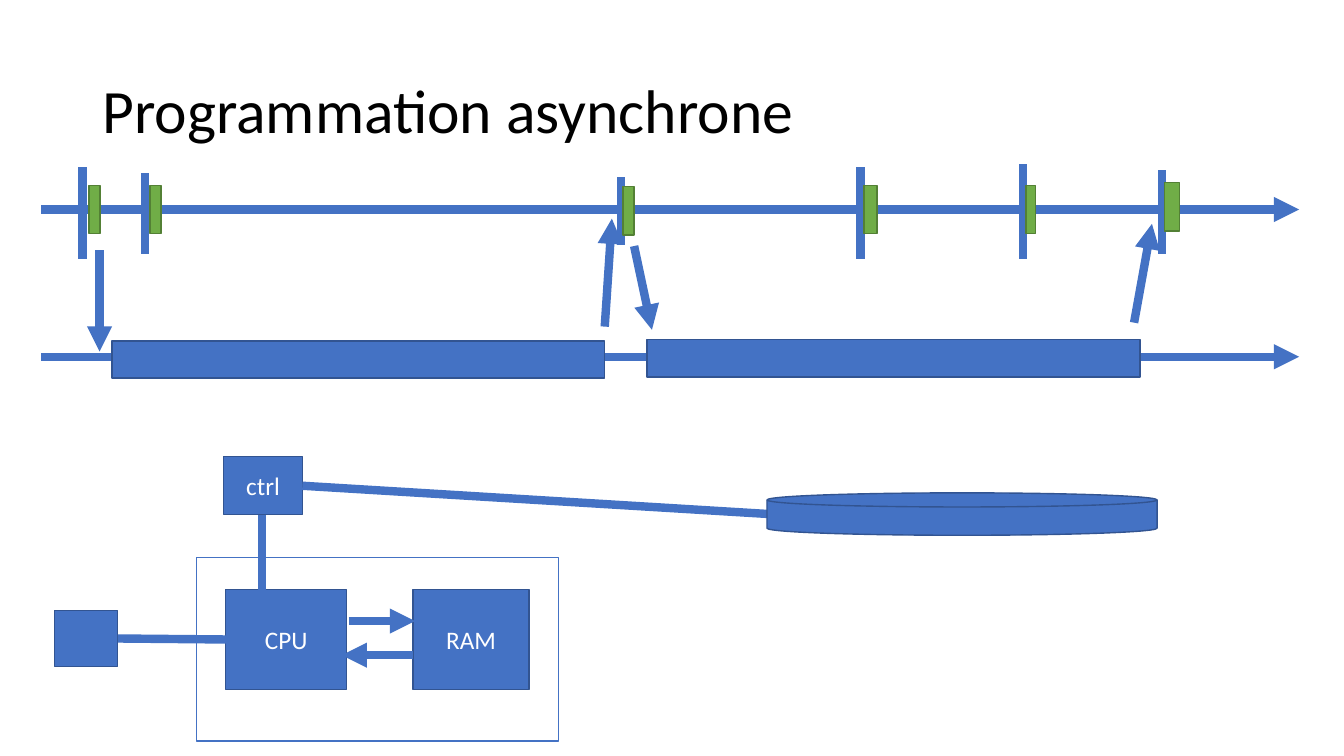
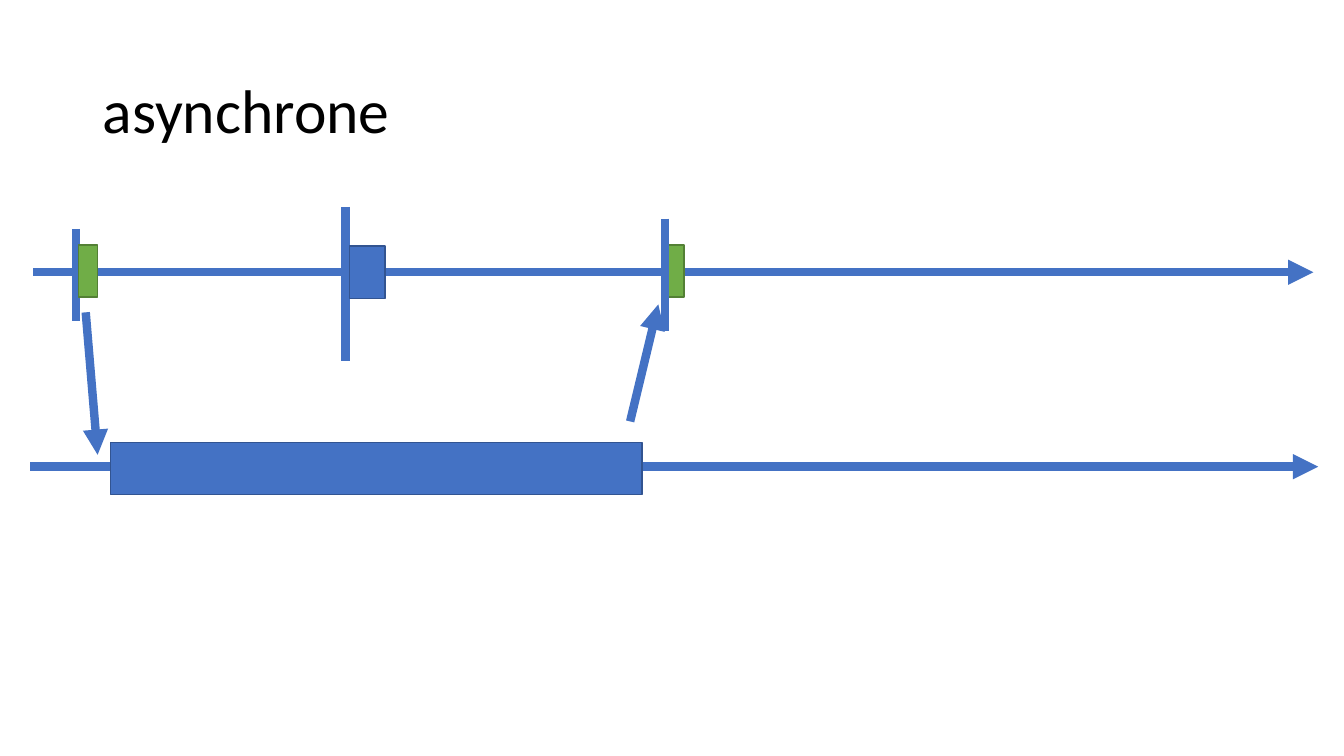
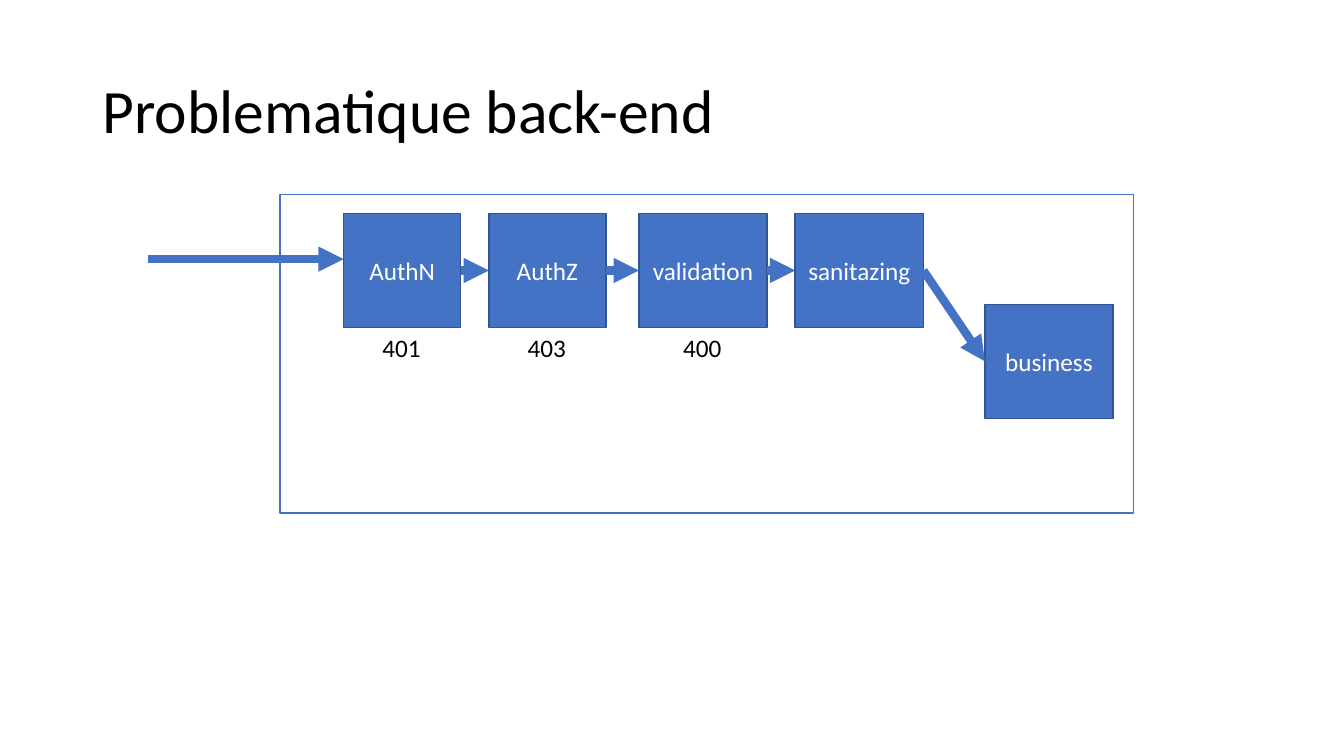
from lxml.etree import SubElement
from pptx import Presentation
from pptx.dml.color import RGBColor
from pptx.enum.shapes import MSO_CONNECTOR, MSO_SHAPE
from pptx.enum.text import MSO_ANCHOR, MSO_AUTO_SIZE, PP_ALIGN
from pptx.oxml.ns import qn
from pptx.util import Cm, Pt

COLORS = {
    "blue": "4472C4",
    "blue_edge": "325491",
    "green": "70AD47",
    "green_edge": "538035",
    "white": "FFFFFF",
    "black": "000000",
}
FONT = "Calibri"
LEFT_SITE, RIGHT_SITE = 1, 3


def color(name):
    return RGBColor.from_string(COLORS[name])


class Deck:
    """Holds the shared style and the current slide; lengths are centimetres."""

    def __init__(self):
        self.presentation = Presentation()
        self.presentation.slide_width = Cm(33.87)
        self.presentation.slide_height = Cm(19.05)
        self.slide = None

    def format(self, paragraph, size, color_name, alignment):
        paragraph.alignment = alignment
        paragraph.font.name = FONT
        paragraph.font.size = Pt(size)
        paragraph.font.color.rgb = color(color_name)

    def new_slide(self, text):
        title_only = self.presentation.slide_layouts[5]
        self.slide = self.presentation.slides.add_slide(title_only)
        title = self.slide.shapes.title
        title.left, title.top = Cm(2.33), Cm(1.01)
        title.width, title.height = Cm(29.21), Cm(3.68)
        frame = title.text_frame
        frame.text = text
        frame.vertical_anchor = MSO_ANCHOR.MIDDLE
        frame.auto_size = MSO_AUTO_SIZE.NONE
        frame.paragraphs[0].line_spacing = 0.9
        self.format(frame.paragraphs[0], 44, "black", PP_ALIGN.LEFT)

    def box(self, left, top, width, height, text="", fill="blue",
            edge="blue_edge", kind=MSO_SHAPE.RECTANGLE):
        shape = self.slide.shapes.add_shape(
            kind, Cm(left), Cm(top), Cm(width), Cm(height))
        shape.shadow.inherit = False
        shape.fill.solid()
        shape.fill.fore_color.rgb = color(fill)
        shape.line.color.rgb = color(edge)
        shape.line.width = Pt(1)
        if text:
            frame = shape.text_frame
            frame.text = text
            frame.word_wrap = True
            frame.vertical_anchor = MSO_ANCHOR.MIDDLE
            self.format(frame.paragraphs[0], 18, "white", PP_ALIGN.CENTER)
        return shape

    def frame(self, left, top, width, height):
        return self.box(left, top, width, height, fill="white", edge="blue")

    def task(self, left, top, width, height):
        return self.box(left, top, width, height,
                        fill="green", edge="green_edge")

    def line(self, x1, y1, x2, y2, arrow=False):
        connector = self.slide.shapes.add_connector(
            MSO_CONNECTOR.STRAIGHT, Cm(x1), Cm(y1), Cm(x2), Cm(y2))
        connector.line.color.rgb = color("blue")
        connector.line.width = Pt(6)
        if arrow:
            SubElement(connector.line._get_or_add_ln(), qn("a:tailEnd"),
                       type="triangle")
        SubElement(connector._element.spPr, qn("a:effectLst"))
        return connector

    def arrow(self, x1, y1, x2, y2):
        return self.line(x1, y1, x2, y2, arrow=True)

    def join(self, first, second, arrow=False):
        """Connects the right side of one box to the left side of another."""
        connector = self.line(0, 0, 1, 1, arrow)
        connector.begin_connect(first, RIGHT_SITE)
        connector.end_connect(second, LEFT_SITE)

    def label(self, center, top, text):
        width = 1.5
        shape = self.slide.shapes.add_textbox(
            Cm(center - width / 2), Cm(top), Cm(width), Cm(1.02))
        frame = shape.text_frame
        frame.text = text
        frame.word_wrap = False
        frame.auto_size = MSO_AUTO_SIZE.SHAPE_TO_FIT_TEXT
        self.format(frame.paragraphs[0], 18, "black", PP_ALIGN.LEFT)


def build_programming(deck):
    deck.new_slide("Programmation asynchrone")

    # Time axes
    for y in (5.28, 8.99):
        deck.arrow(1.04, y, 32.74, y)

    # Events: tick x, top, bottom, then task left, top, width
    events = [
        (2.08, 4.22, 6.53, 2.24, 4.67, 0.28),
        (3.66, 4.37, 6.4, 3.78, 4.67, 0.28),
        (15.65, 4.47, 6.17, 15.7, 4.7, 0.28),
        (21.69, 4.22, 6.53, 21.77, 4.67, 0.33),
        (25.78, 4.14, 6.53, 25.86, 4.67, 0.23),
        (29.29, 4.29, 6.4, 29.34, 4.6, 0.38),
    ]
    for x, tick_top, tick_bottom, left, top, width in events:
        deck.line(x, tick_top, x, tick_bottom)
        deck.task(left, top, width, 1.22)

    # Background operations and the calls between both axes
    for left, top in ((2.82, 8.59), (16.31, 8.56)):
        deck.box(left, top, 12.42, 0.94)
    for points in (
        (2.51, 6.3, 2.51, 8.86),
        (15.24, 8.23, 15.42, 5.51),
        (15.98, 6.2, 16.43, 8.31),
        (28.58, 8.13, 29.03, 5.64),
    ):
        deck.arrow(*points)

    # Machine: processor, memory, controller, disk and device
    deck.frame(4.95, 14.05, 9.12, 4.62)
    processor = deck.box(5.69, 14.86, 3.05, 2.51, "CPU")
    deck.box(10.41, 14.86, 2.92, 2.51, "RAM")
    deck.arrow(8.79, 15.65, 10.46, 15.65)
    deck.arrow(10.41, 16.51, 8.61, 16.51)
    deck.line(6.6, 14.86, 6.6, 12.98)
    deck.box(5.64, 11.51, 1.98, 1.45, "ctrl")
    deck.line(7.62, 12.24, 19.33, 12.95)
    deck.box(19.33, 12.42, 9.83, 1.07,
             kind=MSO_SHAPE.FLOWCHART_MAGNETIC_DISK)
    device = deck.box(1.37, 15.39, 1.6, 1.4)
    deck.join(device, processor)


def build_asynchronous(deck):
    deck.new_slide("asynchrone")

    # Time axes
    deck.arrow(0.84, 6.86, 33.1, 6.86)
    deck.arrow(0.76, 11.76, 33.22, 11.76)

    # Events on the upper axis
    deck.line(1.91, 5.77, 1.91, 8.08)
    deck.task(1.98, 6.17, 0.48, 1.32)
    deck.line(8.71, 5.21, 8.71, 9.09)
    deck.box(8.81, 6.2, 0.89, 1.32)
    deck.task(16.76, 6.17, 0.48, 1.32)
    deck.line(16.76, 5.51, 16.76, 8.33)

    # Background operation with its call and return
    deck.box(2.79, 11.15, 13.39, 1.32)
    deck.arrow(2.16, 7.87, 2.46, 11.46)
    deck.arrow(15.88, 10.62, 16.59, 7.67)


def build_back_end(deck):
    deck.new_slide("Problematique back-end")
    deck.frame(7.06, 4.9, 21.51, 8.03)
    deck.arrow(3.73, 6.53, 8.66, 6.53)

    # Request pipeline: name, left, top, width, error code
    steps = [
        ("AuthN", 8.66, 5.38, 2.95, "401"),
        ("AuthZ", 12.32, 5.38, 2.95, "403"),
        ("validation", 16.1, 5.38, 3.23, "400"),
        ("sanitazing", 20.04, 5.38, 3.23, ""),
        ("business", 24.82, 7.67, 3.23, ""),
    ]
    height = 2.87
    previous = None
    for name, left, top, width, code in steps:
        step = deck.box(left, top, width, height, name)
        if previous:
            deck.join(previous, step, arrow=True)
        if code:
            deck.label(left + width / 2, top + height, code)
        previous = step


def main():
    deck = Deck()
    build_programming(deck)
    build_asynchronous(deck)
    build_back_end(deck)
    deck.presentation.save("out.pptx")


if __name__ == "__main__":
    main()
